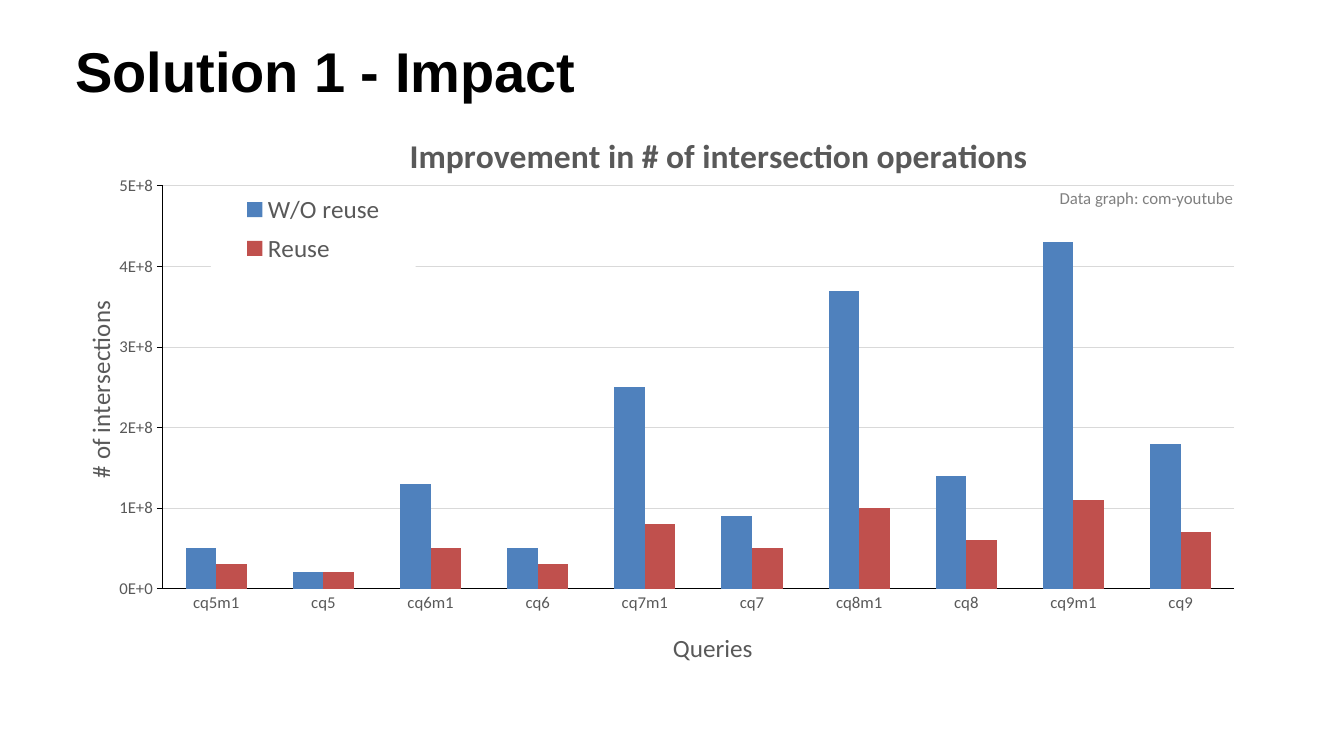
from lxml import etree
from pptx import Presentation
from pptx.chart.data import CategoryChartData
from pptx.dml.color import RGBColor
from pptx.enum.chart import XL_CHART_TYPE, XL_LEGEND_POSITION, XL_TICK_MARK
from pptx.enum.text import MSO_ANCHOR, PP_ALIGN
from pptx.oxml import parse_xml
from pptx.util import Pt

COLUMN = XL_CHART_TYPE.COLUMN_CLUSTERED
TOP = XL_LEGEND_POSITION.TOP
NONE, OUT = XL_TICK_MARK.NONE, XL_TICK_MARK.OUTSIDE
MIDDLE = MSO_ANCHOR.MIDDLE
LEFT, CENTER = PP_ALIGN.LEFT, PP_ALIGN.CENTER
C = "http://schemas.openxmlformats.org/drawingml/2006/chart"
A = "http://schemas.openxmlformats.org/drawingml/2006/main"
COLORS = {"black": "000000", "text": "595959", "note": "808080",
          "grid": "D9D9D9", "blue": "4F81BD", "red": "C0504D",
          "white": "FFFFFF"}


def write(frame, text, size=18, color="text", bold=False, font="Calibri",
          align=CENTER):
    para = frame.paragraphs[0]
    para.alignment = align
    run = para.add_run()
    run.text = text
    run.font.size = Pt(size)
    run.font.bold = bold
    run.font.name = font
    run.font.color.rgb = RGBColor.from_string(COLORS[color])


def place(part, **spots):
    for old in part.findall(f"{{{C}}}layout"):
        part.remove(old)
    layout = etree.Element(f"{{{C}}}layout")
    manual = etree.SubElement(layout, f"{{{C}}}manualLayout")
    for tag, val in spots.items():
        etree.SubElement(manual, f"{{{C}}}{tag}", val=str(val))
    node = parse_xml(etree.tostring(layout))
    over = part.find(f"{{{C}}}overlay")
    if over is None:
        part.insert(0, node)
    else:
        over.addprevious(node)


deck = Presentation()
deck.slide_width, deck.slide_height = Pt(960.48), Pt(540)
slide = deck.slides.add_slide(deck.slide_layouts[6])

head = slide.shapes.add_textbox(Pt(46.8), Pt(18.7), Pt(861), Pt(62.6)).text_frame
head.word_wrap = True
head.vertical_anchor = MIDDLE
write(head, "Solution 1 - Impact", size=40, color="black", bold=True,
      font="Arial", align=LEFT)

data = CategoryChartData(number_format="0E+0")
data.categories = [f"cq{num}{tail}" for num in range(5, 10)
                   for tail in ("m1", "")]
series = [
    ("W/O reuse", "blue", (5, 2, 13, 5, 25, 9, 37, 14, 43, 18)),
    ("Reuse", "red", (3, 2, 5, 3, 8, 5, 10, 6, 11, 7)),
]
for name, color, vals in series:
    data.add_series(name, [val * 10**7 for val in vals])
chart = slide.shapes.add_chart(COLUMN, Pt(47.5), Pt(90.7), Pt(860.4),
                               Pt(388.8), data).chart
chart.font.name = "Calibri"
chart.font.size = Pt(10)
chart.font.color.rgb = RGBColor.from_string(COLORS["black"])

plot = chart.plots[0]
plot.gap_width = 150
plot.overlap = 0
plot.vary_by_categories = False
for bars, (name, color, vals) in zip(plot.series, series):
    bars.format.fill.solid()
    bars.format.fill.fore_color.rgb = RGBColor.from_string(COLORS[color])

cats, scale = chart.category_axis, chart.value_axis
for axis, tick in ((cats, NONE), (scale, OUT)):
    axis.major_tick_mark = tick
    axis.minor_tick_mark = NONE
    axis.tick_labels.font.name = "Calibri"
    axis.tick_labels.font.size = Pt(12)
    axis.tick_labels.font.color.rgb = RGBColor.from_string(COLORS["text"])
    axis.format.line.width = Pt(0.75)
    axis.format.line.color.rgb = RGBColor.from_string(COLORS["black"])
scale.minimum_scale, scale.maximum_scale = 0, 5 * 10**8
scale.major_unit = 10**8
scale.tick_labels.number_format = "0E+0"
scale.tick_labels.number_format_is_linked = False
scale.has_major_gridlines = True
grid = scale.major_gridlines.format.line
grid.width = Pt(0.75)
grid.color.rgb = RGBColor.from_string(COLORS["grid"])

titles = [
    (chart.chart_title, "Improvement in # of intersection operations",
     24, True, 0.28, 0),
    (cats.axis_title, "Queries", 18, False, 0.5, 0.93),
    (scale.axis_title, "# of intersections", 18, False, 0.01, 0.32),
]
for title, text, size, bold, x, y in titles:
    write(title.text_frame, text, size=size, bold=bold)
    place(title._element, xMode="edge", yMode="edge", x=x, y=y)
body = scale.axis_title.text_frame._txBody.find(f"{{{A}}}bodyPr")
body.set("rot", "-5400000")
body.set("vert", "horz")

chart.has_legend = True
legend = chart.legend
legend.position = TOP
legend.include_in_layout = True
legend.font.name = "Calibri"
legend.font.size = Pt(18)
legend.font.color.rgb = RGBColor.from_string(COLORS["text"])
place(legend._element, xMode="edge", yMode="edge", x=0.12, y=0.11,
      w=0.17, h=0.16)
legend._element.find(f"{{{C}}}overlay").addnext(parse_xml(
    f'<c:spPr xmlns:c="{C}" xmlns:a="{A}"><a:solidFill>'
    f'<a:srgbClr val="{COLORS["white"]}"/></a:solidFill></c:spPr>'))
place(chart._chartSpace.chart.plotArea, layoutTarget="inner", xMode="edge",
      yMode="edge", x=0.08, y=0.11, w=0.89, h=0.75)

note = slide.shapes.add_textbox(Pt(731.5), Pt(130.3), Pt(175.7), Pt(21.6)).text_frame
note.word_wrap = True
write(note, "Data graph: com-youtube", size=12, color="note")

deck.save("out.pptx")
